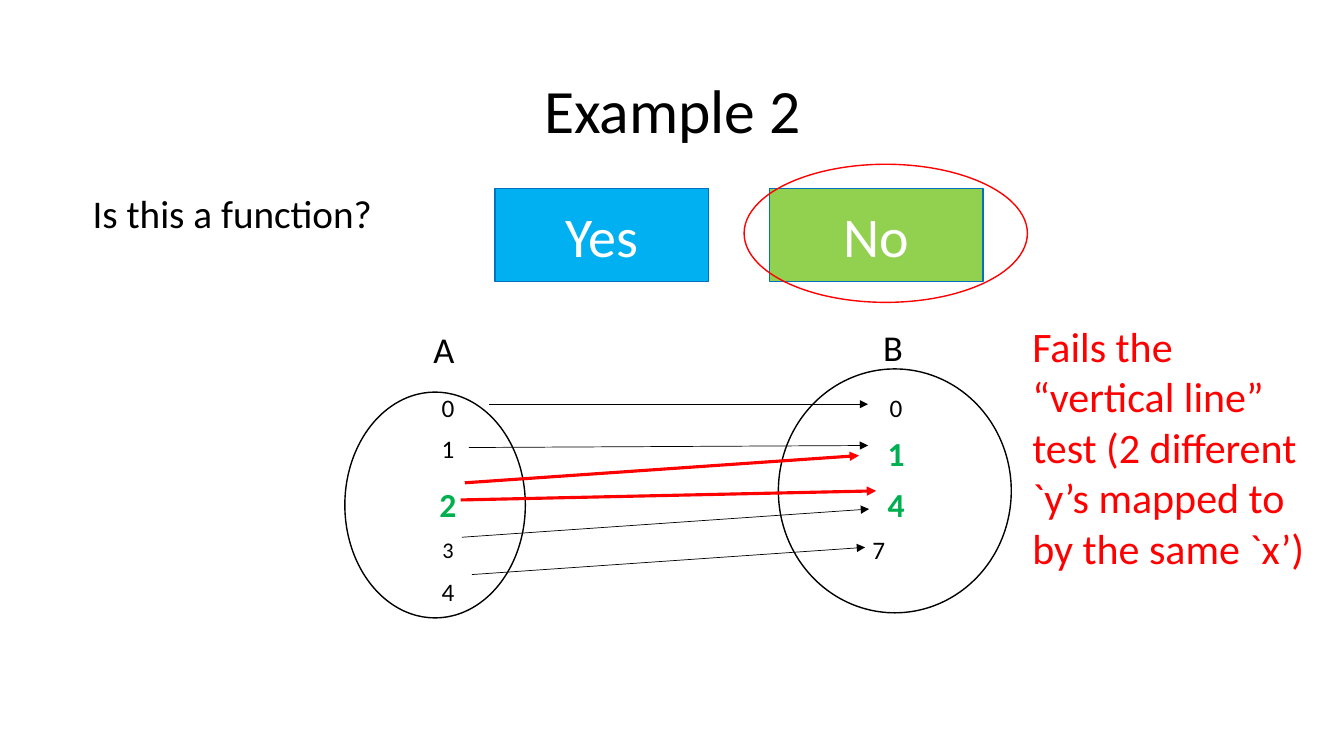
from lxml.etree import SubElement
from pptx import Presentation
from pptx.dml.color import RGBColor
from pptx.enum.shapes import MSO_CONNECTOR, MSO_SHAPE
from pptx.enum.text import MSO_ANCHOR, PP_ALIGN
from pptx.oxml.ns import qn
from pptx.util import Inches, Pt

BLACK, RED, GREEN, WHITE = "000000", "FF0000", "00B050", "FFFFFF"


def rgb(value):
    return RGBColor.from_string(value)


def write(frame, text, size, color=BLACK, align=PP_ALIGN.LEFT, bold=False):
    frame.text = text
    paragraph = frame.paragraphs[0]
    paragraph.alignment = align
    font = paragraph.font
    font.name, font.size, font.bold = "Calibri", Pt(size), bold
    font.color.rgb = rgb(color)
    return paragraph


def add_label(slide, box, text, size, color=BLACK, align=PP_ALIGN.LEFT, wrap=True):
    frame = slide.shapes.add_textbox(*map(Inches, box)).text_frame
    frame.word_wrap = wrap
    return write(frame, text, size, color, align)


def add_bullet(slide, box, text, size):
    frame = slide.shapes.add_textbox(*map(Inches, box)).text_frame
    frame.word_wrap = True
    properties = frame.paragraphs[0]._p.get_or_add_pPr()
    properties.set("marL", str(Inches(0.25)))
    properties.set("indent", str(-Inches(0.25)))
    SubElement(properties, qn("a:buFont")).set("typeface", "Arial")
    SubElement(properties, qn("a:buChar")).set("char", "•")
    write(frame, text, size).line_spacing = 0.9


def add_outline(slide, kind, box, line, fill=None):
    shape = slide.shapes.add_shape(kind, *map(Inches, box))
    shape.shadow.inherit = False
    shape.line.color.rgb = rgb(line)
    shape.line.width = Pt(1)
    if fill:
        shape.fill.solid()
        shape.fill.fore_color.rgb = rgb(fill)
    else:
        shape.fill.background()
    return shape


def add_answer(slide, left, text, fill):
    answer = add_outline(slide, MSO_SHAPE.RECTANGLE, (left, 1.87, 2.12, 0.92), "0070C0", fill)
    answer.text_frame.vertical_anchor = MSO_ANCHOR.MIDDLE
    write(answer.text_frame, text, 40, WHITE, PP_ALIGN.CENTER)


def add_arrow(slide, ends, color=BLACK, width=0.5):
    arrow = slide.shapes.add_connector(MSO_CONNECTOR.STRAIGHT, *map(Inches, ends))
    arrow.line.color.rgb = rgb(color)
    arrow.line.width = Pt(width)
    SubElement(arrow.line._get_or_add_ln(), qn("a:tailEnd")).set("type", "triangle")
    SubElement(arrow._element.spPr, qn("a:effectLst"))


def add_mapping_table(slide, rows):
    box = map(Inches, (2.22, 3.85, 8.89, 2.05))
    table = slide.shapes.add_table(len(rows), 2, *box).table
    table.first_row = table.horz_banding = False
    for row, values in zip(table.rows, rows):
        row.height = Inches(0.41)
        for cell, (text, size, color) in zip(row.cells, values):
            cell.fill.background()
            write(cell.text_frame, text, size, color, PP_ALIGN.CENTER, color == GREEN)


def main():
    presentation = Presentation()
    presentation.slide_width, presentation.slide_height = Inches(13.33), Inches(7.5)
    slide = presentation.slides.add_slide(presentation.slide_layouts[5])

    title = slide.shapes.title
    title.left, title.top, title.width, title.height = map(Inches, (0.92, 0.4, 11.5, 1.45))
    title.text_frame.vertical_anchor = MSO_ANCHOR.MIDDLE
    write(title.text_frame, "Example 2", 44, align=PP_ALIGN.CENTER).line_spacing = 0.9

    add_mapping_table(slide, [
        [("0", 18, BLACK), ("0", 18, BLACK)],
        [("1", 18, BLACK), ("1", 24, GREEN)],
        [("2", 24, GREEN), ("4", 24, GREEN)],
        [("3", 16, BLACK), ("", 18, BLACK)],
        [("4", 18, BLACK), ("", 18, BLACK)],
    ])
    add_bullet(slide, (0.82, 1.88, 4, 0.6), "Is this a function?", 28)
    add_answer(slide, 4.91, "Yes", "00B0F0")
    add_answer(slide, 7.63, "No", "92D050")

    for set_box in [(3.42, 3.89, 1.79, 2.24), (7.72, 3.66, 2.31, 2.42)]:
        add_outline(slide, MSO_SHAPE.OVAL, set_box, BLACK)
    add_label(slide, (4.2, 3.2, 0.45, 0.54), "A", 26)
    add_label(slide, (8.66, 3.18, 0.45, 0.54), "B", 26)

    for ends in [(4.85, 4.01, 8.61, 4.01), (4.65, 4.44, 8.61, 4.42),
                 (4.58, 5.33, 8.62, 5.05), (4.68, 5.7, 8.58, 5.43)]:
        add_arrow(slide, ends)
    for ends in [(4.57, 4.96, 8.69, 4.87), (4.61, 4.79, 8.52, 4.52)]:
        add_arrow(slide, ends, RED, 2.25)

    add_label(slide, (8.55, 5.25, 0.33, 0.4), "7", 18, align=PP_ALIGN.CENTER, wrap=False)
    add_outline(slide, MSO_SHAPE.OVAL, (7.38, 1.63, 2.81, 1.37), RED)
    add_label(slide, (10.14, 3.13, 3.04, 2.63),
              "Fails the “vertical line” test (2 different `y’s mapped to by the same `x’)", 30, RED)

    presentation.save("out.pptx")


if __name__ == "__main__":
    main()
